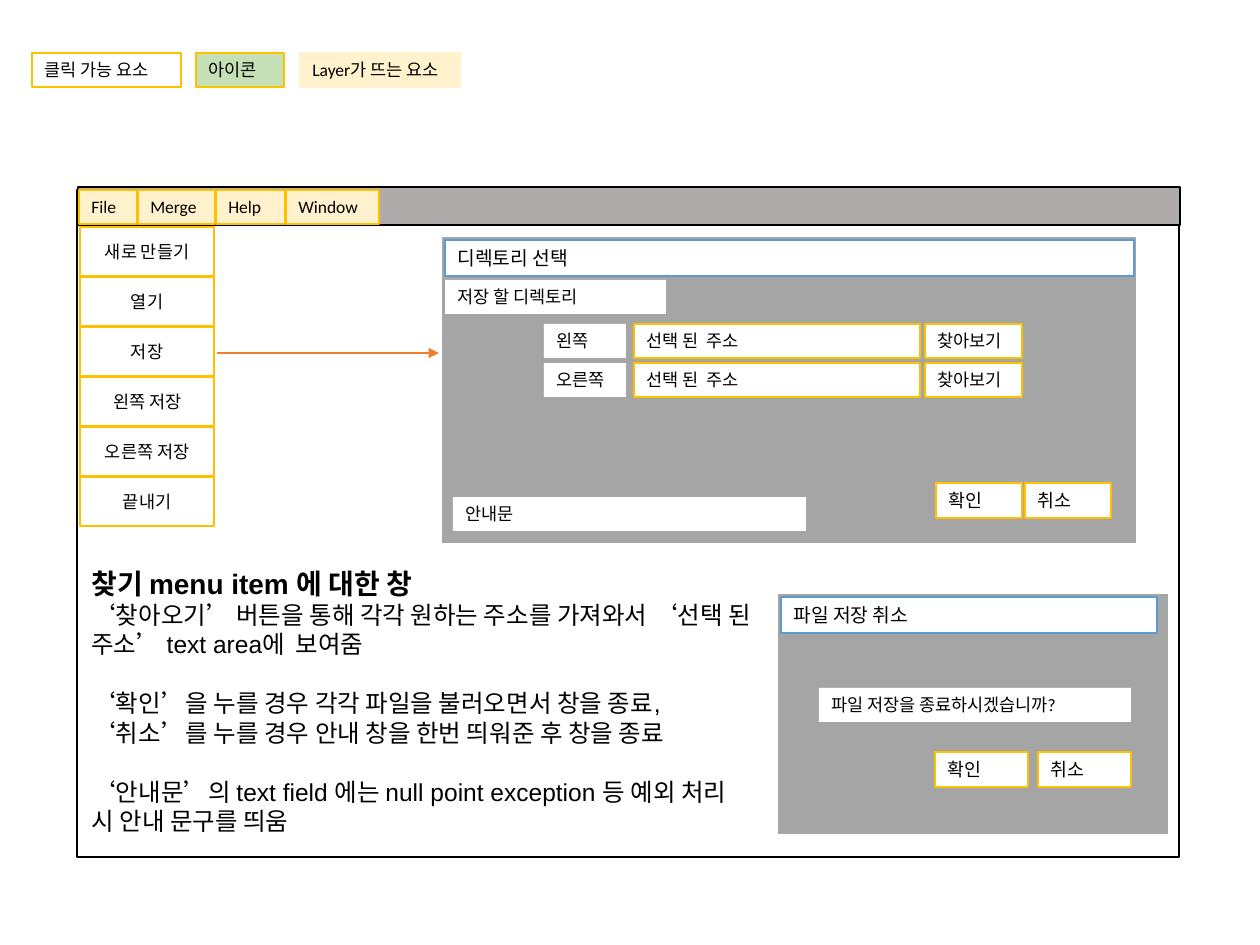
from pptx import Presentation
from pptx.util import Pt
from pptx.dml.color import RGBColor
from pptx.enum.shapes import MSO_SHAPE as Shape, MSO_CONNECTOR as Link
from pptx.enum.text import PP_ALIGN as Align, MSO_ANCHOR as Anchor
from pptx.oxml.ns import qn
from lxml.etree import SubElement

SCALE = 914400 / 126
BLACK, WHITE, GOLD, CREAM = "000000", "FFFFFF", "FFC000", "FFF2CC"
GREEN, GRAY, BAR, BLUE, ORANGE = "C5E0B4", "A5A5A5", "AFABAB", "5B9BD5", "ED7D31"


def px(n):
    return round(n * SCALE)


def color(code):
    return RGBColor.from_string(code)


def apply(item, **values):
    for name, value in values.items():
        setattr(item, name, value)


class Sketch:
    font = "Calibri"

    def __init__(self, slide):
        self.slide = slide
        self.host = slide.shapes

    def group(self):
        self.host = self.slide.shapes.add_group_shape().shapes

    def free(self):
        self.host = self.slide.shapes

    def box(self, x, y, w, h, fill=WHITE, line=None, width=1):
        box = self.host.add_shape(Shape.RECTANGLE, px(x), px(y), px(w), px(h))
        box.shadow.inherit = False
        box.fill.solid()
        box.fill.fore_color.rgb = color(fill)
        if line:
            box.line.color.rgb = color(line)
            box.line.width = Pt(width)
        else:
            box.line.fill.background()
        return box

    def words(self, para, text, size, bold=False, font=None):
        run = para.add_run()
        run.text = text
        apply(run.font, name=font or self.font, size=Pt(size), bold=bold)
        run.font.color.rgb = color(BLACK)

    def label(self, text, x, y, w, h=34, size=10, **look):
        frame = self.box(x, y, w, h, **look).text_frame
        apply(frame, word_wrap=True, vertical_anchor=Anchor.TOP, margin_right=0)
        para = frame.paragraphs[0]
        para.alignment = Align.LEFT
        self.words(para, text, size)

    def item(self, text, x, y, w, h):
        frame = self.box(x, y, w, h, line=GOLD).text_frame
        apply(frame, word_wrap=True, vertical_anchor=Anchor.MIDDLE)
        para = frame.paragraphs[0]
        para.alignment = Align.CENTER
        self.words(para, text, 10)

    def notes(self, x, y, w, h, rows):
        frame = self.box(x, y, w, h).text_frame
        apply(frame, word_wrap=True, vertical_anchor=Anchor.TOP)
        for i, (text, size, bold, gap) in enumerate(rows):
            para = frame.add_paragraph() if i else frame.paragraphs[0]
            apply(para, alignment=Align.LEFT, space_before=Pt(gap))
            self.words(para, text, size, bold, "Arial")

    def arrow(self, x, y, end):
        link = self.host.add_connector(Link.STRAIGHT, px(x), px(y), px(end), px(y))
        link.line.color.rgb = color(ORANGE)
        link.line.width = Pt(1.5)
        props = link._element.spPr
        SubElement(props.find(qn("a:ln")), qn("a:tailEnd"), type="triangle")
        SubElement(props, qn("a:effectLst"))

    def window(self, title, x, y, w, h, wide):
        self.group()
        self.box(x, y, w, h, GRAY, WHITE, 1.5)
        self.label(title, x + 4, y + 4, wide, 36, 11, line=BLUE)


deck = Presentation()
apply(deck, slide_width=px(1260), slide_height=px(945))
art = Sketch(deck.slides.add_slide(deck.slide_layouts[6]))

art.box(77, 190, 1102, 667, line=BLACK)
art.group()
art.box(78, 187, 1102, 38, BAR, BLACK)
for name, x, w in (("File", 79, 58), ("Merge", 138, 77), ("Help", 216, 69), ("Window", 286, 93)):
    art.label(name, x, 190, w, fill=CREAM, line=GOLD)
art.free()

for name, x, w, fill, line in (
    ("클릭 가능 요소", 32, 149, WHITE, GOLD),
    ("아이콘", 196, 88, GREEN, GOLD),
    ("Layer가 뜨는 요소", 300, 160, CREAM, CREAM),
):
    art.label(name, x, 53, w, fill=fill, line=line)

for i, name in enumerate(("새로 만들기", "열기", "저장", "왼쪽 저장", "오른쪽 저장", "끝내기")):
    art.item(name, 80, 227 + 50 * i, 134, 49)
art.arrow(217, 353, 439)

art.window("디렉토리 선택", 441, 236, 696, 308, 689)
art.label("저장 할 디렉토리", 445, 280, 221)
for side, y in (("왼쪽", 324), ("오른쪽", 363)):
    art.label(side, 544, y, 82)
    art.label("선택 된  주소", 634, y, 286, line=GOLD, width=0.75)
    art.label("찾아보기", 925, y, 97, line=GOLD)
art.label("안내문", 453, 497, 353)
for name, x in (("확인", 936), ("취소", 1025)):
    art.label(name, x, 483, 86, 35, 10.5, line=GOLD)

art.window("파일 저장 취소", 777, 593, 392, 242, 376)
art.label("파일 저장을 종료하시겠습니까?", 819, 688, 312)
for name, x in (("확인", 935), ("취소", 1038)):
    art.label(name, x, 752, 93, 35, 10.5, line=GOLD)
art.free()

art.notes(79, 560, 686, 284, (
    ("찾기 menu item 에 대한 창", 16, True, 0),
    ("‘찾아오기’ 버튼을 통해 각각 원하는 주소를 가져와서 ‘선택 된 주소’ text area에  보여줌", 14, False, 0),
    ("‘확인’을 누를 경우 각각 파일을 불러오면서 창을 종료,", 14, False, 17),
    ("‘취소’를 누를 경우 안내 창을 한번 띄워준 후 창을 종료", 14, False, 0),
    ("‘안내문’의 text field 에는 null point exception 등 예외 처리 시 안내 문구를 띄움", 14, False, 17),
))

deck.save("out.pptx")
